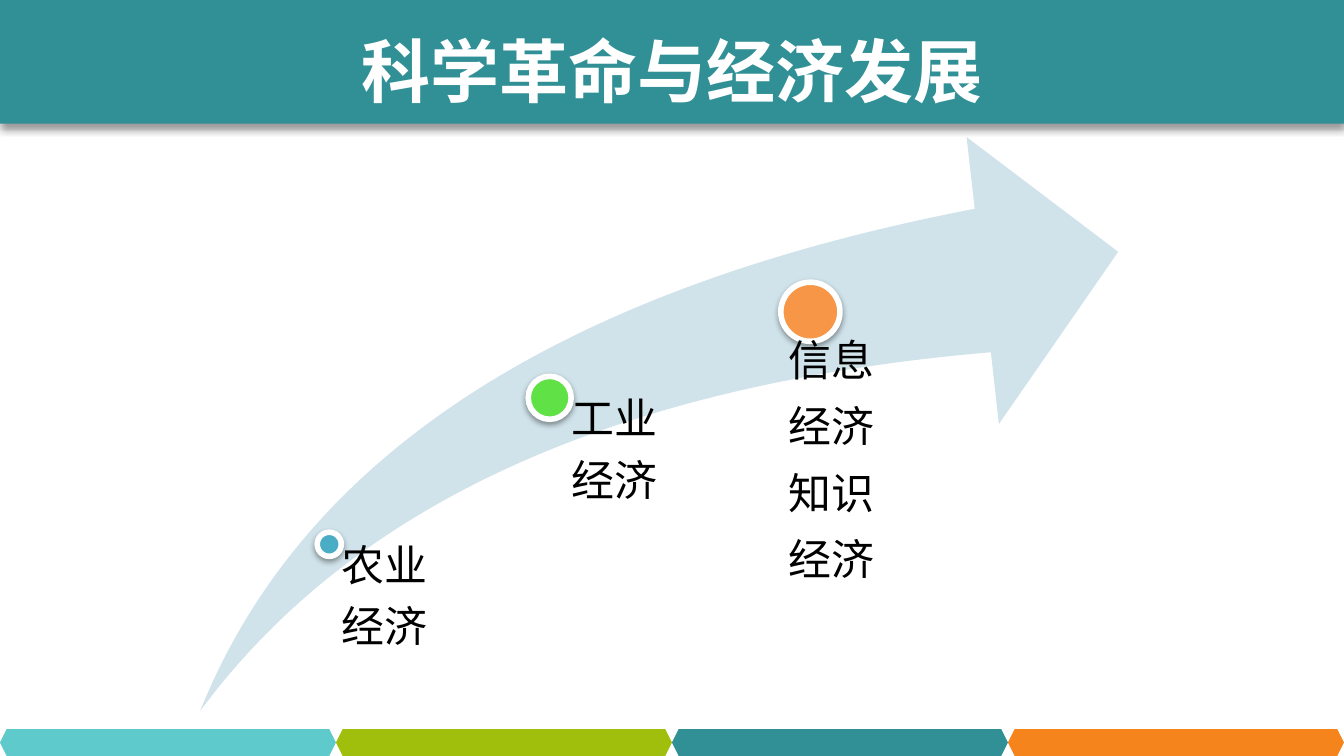
import lxml.etree
import pptx
import pptx.dml.color
import pptx.enum.shapes
import pptx.enum.text
import pptx.oxml.ns
import pptx.util

Inches, Pt = pptx.util.Inches, pptx.util.Pt
RGBColor = pptx.dml.color.RGBColor
SHAPE = pptx.enum.shapes.MSO_SHAPE
ANCHOR = pptx.enum.text.MSO_ANCHOR
AUTO_SIZE = pptx.enum.text.MSO_AUTO_SIZE
ALIGN = pptx.enum.text.PP_ALIGN
qn = pptx.oxml.ns.qn

SLIDE_W = 10
SLIDE_H = SLIDE_W * 9 / 16
FONT = "Times New Roman"
WHITE = RGBColor(0xFF, 0xFF, 0xFF)
BLACK = RGBColor(0x00, 0x00, 0x00)
TEAL = RGBColor(0x31, 0x90, 0x95)
AQUA = RGBColor(0x5F, 0xCA, 0xCB)
LIME = RGBColor(0xA0, 0xBF, 0x0D)
AMBER = RGBColor(0xF5, 0x84, 0x1C)
PALE_BLUE = RGBColor(0xD0, 0xE3, 0xEA)
BLUE = RGBColor(0x4B, 0xAC, 0xC6)
GREEN = RGBColor(0x60, 0xE1, 0x46)
ORANGE = RGBColor(0xF7, 0x96, 0x46)


def add_filled(shapes, kind, x, y, w, h, color):
    sp = shapes.add_shape(kind, Inches(x), Inches(y), Inches(w), Inches(h))
    sp.shadow.inherit = False
    sp.fill.solid()
    sp.fill.fore_color.rgb = color
    sp.line.fill.background()
    return sp


def add_shadow(sp, opacity, blur, distance):
    """Give the shape a black shadow falling straight down; lengths in points."""
    effects = sp._element.spPr.find(qn("a:effectLst"))
    shadow = lxml.etree.SubElement(
        effects, qn("a:outerShdw"), blurRad=str(Pt(blur)), dist=str(Pt(distance)),
        dir="5400000", algn="t", rotWithShape="0")
    color = lxml.etree.SubElement(shadow, qn("a:srgbClr"), val=str(BLACK))
    lxml.etree.SubElement(color, qn("a:alpha"), val=str(opacity * 1000))


def add_run(p, text, size, color, bold=False):
    r = p.add_run()
    r.text = text
    r.font.name = FONT
    r.font.size = Pt(size)
    r.font.bold = bold
    r.font.color.rgb = color


def add_header(s, x, y, w, h):
    bar = add_filled(s.shapes, SHAPE.RECTANGLE, x, y, w, h, TEAL)
    add_shadow(bar, 40, 4, 3)

    title = s.shapes.title
    bar._element.addnext(title._element)
    title_w = 4.84
    title.left, title.top = Inches(x + (w - title_w) / 2), Inches(y + 0.17)
    title.width, title.height = Inches(title_w), Inches(0.71)
    tf = title.text_frame
    tf.margin_left = tf.margin_right = Inches(0.08)
    tf.margin_top = tf.margin_bottom = Inches(0.04)
    tf.word_wrap = False
    tf.auto_size = AUTO_SIZE.SHAPE_TO_FIT_TEXT
    tf.vertical_anchor = ANCHOR.TOP
    p = tf.paragraphs[0]
    p.alignment = ALIGN.CENTER
    add_run(p, "科学革命与经济发展", 37, WHITE, bold=True)


def add_footer(s, x, y, w, h):
    colors = (AQUA, LIME, TEAL, AMBER)
    band = s.shapes.add_group_shape()
    step = w / len(colors)
    for i, color in enumerate(colors):
        add_filled(band.shapes, SHAPE.HEXAGON, x + i * step, y, step, h, color)


def add_stage_label(shapes, x, y, w, h, inset, lines, spacing):
    tf = shapes.add_textbox(Inches(x), Inches(y), Inches(w), Inches(h)).text_frame
    tf.word_wrap = True
    tf.margin_left = Inches(inset)
    tf.margin_top = tf.margin_right = tf.margin_bottom = 0
    for i, line in enumerate(lines):
        p = tf.paragraphs[0] if i == 0 else tf.add_paragraph()
        after = lxml.etree.SubElement(p._p.get_or_add_pPr(), qn("a:spcAft"))
        lxml.etree.SubElement(after, qn("a:spcPct"), val="35000")
        p.line_spacing = spacing
        add_run(p, line, 23, BLACK)


def add_growth_arrow(s, x, y, w, h):
    """Draw the rising arrow with a dot and a label for each economic stage."""
    shapes = s.shapes.add_group_shape().shapes
    arrow = add_filled(shapes, SHAPE.SWOOSH_ARROW, x, y, w, h, PALE_BLUE)
    arrow.adjustments[0] = arrow.adjustments[1] = 0.25

    # dot centre, dot size, colour, label left, top, width, inset, spacing, lines
    stages = (
        (0.96, 3.03, 0.18, BLUE, 0.96, 3.03, 1.59, 0.09, 0.9, ("农业", "经济")),
        (2.6, 1.94, 0.32, GREEN, 2.59, 1.94, 1.64, 0.17, 0.9, ("工业", "经济")),
        (4.54, 1.3, 0.44, ORANGE, 4.14, 1.46, 2.44, 0.24, 1.0,
         ("信息", "经济", "知识", "经济")),
    )
    for cx, cy, size, color, left, top, width, inset, spacing, lines in stages:
        dot = add_filled(shapes, SHAPE.OVAL, x + cx - size / 2, y + cy - size / 2,
                         size, size, color)
        dot.line.color.rgb = WHITE
        dot.line.width = Pt(3)
        add_shadow(dot, 38, 3.1, 1.6)
        add_stage_label(shapes, x + left, y + top, width, h - top, inset, lines, spacing)


def main():
    prs = pptx.Presentation()
    prs.slide_width, prs.slide_height = Inches(SLIDE_W), Inches(SLIDE_H)
    s = prs.slides.add_slide(prs.slide_layouts[5])
    add_header(s, 0, 0, SLIDE_W, 0.92)
    footer_h = 0.2
    add_footer(s, 0, SLIDE_H - footer_h, SLIDE_W, footer_h)
    add_growth_arrow(s, 1.49, 1.02, 6.83, 4.27)
    prs.save("out.pptx")


if __name__ == "__main__":
    main()
